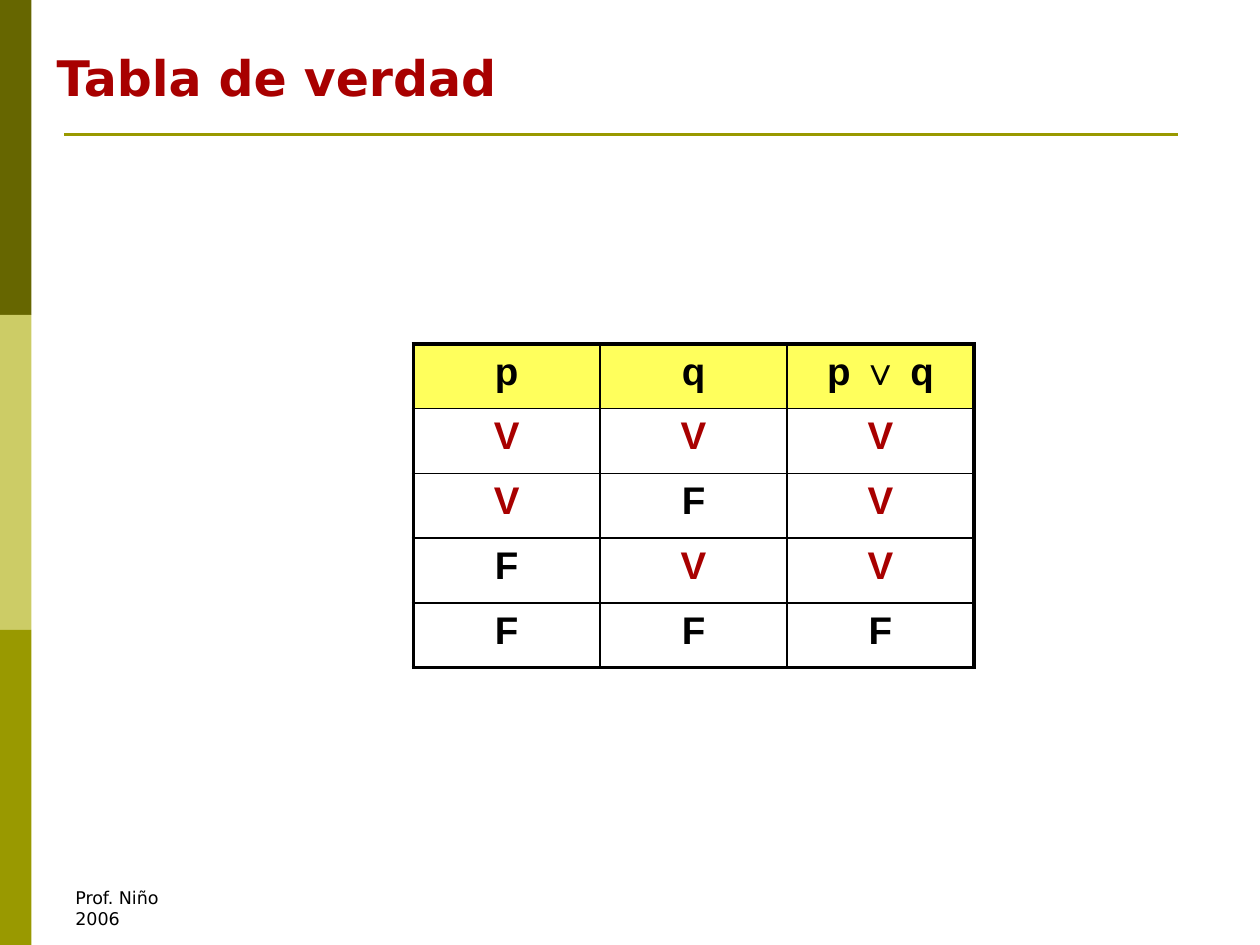
from dataclasses import dataclass

from lxml import etree
from pptx import Presentation
from pptx.dml.color import RGBColor
from pptx.enum.shapes import MSO_CONNECTOR, MSO_SHAPE
from pptx.enum.text import MSO_ANCHOR, MSO_AUTO_SIZE, PP_ALIGN
from pptx.oxml.ns import qn
from pptx.util import Pt

RECTANGLE = MSO_SHAPE.RECTANGLE
STRAIGHT = MSO_CONNECTOR.STRAIGHT
TOP, MIDDLE = MSO_ANCHOR.TOP, MSO_ANCHOR.MIDDLE
NO_AUTOFIT = MSO_AUTO_SIZE.NONE
LEFT, CENTER = PP_ALIGN.LEFT, PP_ALIGN.CENTER
TITLE_ONLY = 5


@dataclass(frozen=True)
class Theme:
    """Colours, fonts and type sizes of the slide."""
    bands: tuple = ("666600", "CCCC66", "999900")
    rule: str = "999900"
    accent: str = "A80000"
    ink: str = "000000"
    header: str = "FFFF5C"
    sans: str = "DejaVu Sans"
    table_font: str = "Arial"
    title_size: int = 28
    table_size: int = 22
    footer_size: int = 10
    outer_border: float = 2.25
    inner_border: float = 1


THEME = Theme()
TRUTH_ROWS = (("p", "q", "p ∨ q"), "VVV", "VFV", "FVV", "FFF")


def write_text(frame, text, *, size, font=THEME.sans, color=THEME.ink,
               bold=False, align=LEFT):
    """Write the lines of text as formatted paragraphs."""
    frame.word_wrap = True
    for index, line in enumerate(text.split("\n")):
        paragraph = frame.paragraphs[0] if index == 0 else frame.add_paragraph()
        paragraph.alignment = align
        run = paragraph.add_run()
        run.text = line
        run.font.size = Pt(size)
        run.font.name = font
        run.font.bold = bold
        run.font.color.rgb = RGBColor.from_string(color)


def place(shape, left, top, width, height):
    """Set the position and size of a shape in points."""
    shape.left, shape.top = Pt(left), Pt(top)
    shape.width, shape.height = Pt(width), Pt(height)


def add_side_bands(slide):
    """Stack equal colour bands down the left edge."""
    for index, color in enumerate(THEME.bands):
        band = slide.shapes.add_shape(
            RECTANGLE, Pt(0), Pt(180 * index), Pt(18), Pt(180))
        band.shadow.inherit = False
        band.fill.solid()
        band.fill.fore_color.rgb = RGBColor.from_string(color)
        band.line.fill.background()


def add_title_rule(slide):
    """Draw the line under the title."""
    rule = slide.shapes.add_connector(
        STRAIGHT, Pt(36.72), Pt(77.04), Pt(673.2), Pt(77.04))
    rule.line.color.rgb = RGBColor.from_string(THEME.rule)
    rule.line.width = Pt(1.5)
    etree.SubElement(rule._element.spPr, qn("a:effectLst"))


def set_title(slide, text):
    """Move and format the title placeholder."""
    title = slide.shapes.title
    place(title, 25.2, 25.92, 624.24, 36)
    frame = title.text_frame
    frame.auto_size = NO_AUTOFIT
    frame.vertical_anchor = MIDDLE
    write_text(frame, text, size=THEME.title_size, color=THEME.accent, bold=True)


def add_footer(slide, text):
    """Add the author and year at the bottom left."""
    footer = slide.shapes.add_textbox(Pt(36), Pt(491.76), Pt(167.76), Pt(36))
    frame = footer.text_frame
    frame.vertical_anchor = TOP
    frame.margin_top, frame.margin_bottom = Pt(15.3), Pt(0)
    write_text(frame, text, size=THEME.footer_size)


def set_borders(cell, widths):
    """Draw the four cell borders, given a width for each side."""
    properties = cell._tc.get_or_add_tcPr()
    for side, width in widths.items():
        border = etree.SubElement(properties, qn(f"a:ln{side}"), w=str(Pt(width)))
        fill = etree.SubElement(border, qn("a:solidFill"))
        etree.SubElement(fill, qn("a:srgbClr"), val=THEME.ink)


def add_truth_table(slide, rows):
    """Add the truth table with a heavy frame and a tinted header."""
    last_row, last_column = len(rows) - 1, len(rows[0]) - 1
    table = slide.shapes.add_table(
        len(rows), len(rows[0]), Pt(236.16), Pt(196.56), Pt(320.4), Pt(185)).table
    table.first_row = table.horz_banding = False
    for column in table.columns:
        column.width = Pt(106.8)
    for row in table.rows:
        row.height = Pt(37)
    for r, values in enumerate(rows):
        for c, value in enumerate(values):
            cell = table.cell(r, c)
            on_edge = {"L": c == 0, "R": c == last_column,
                       "T": r == 0, "B": r == last_row}
            set_borders(cell, {
                side: THEME.outer_border if edge else THEME.inner_border
                for side, edge in on_edge.items()})
            if r == 0:
                cell.fill.solid()
                cell.fill.fore_color.rgb = RGBColor.from_string(THEME.header)
            else:
                cell.fill.background()
            write_text(cell.text_frame, value, size=THEME.table_size,
                       font=THEME.table_font, bold=True, align=CENTER,
                       color=THEME.accent if value == "V" else THEME.ink)


def main():
    """Build the truth table slide and save it."""
    deck = Presentation()
    deck.slide_width, deck.slide_height = Pt(720), Pt(540)
    slide = deck.slides.add_slide(deck.slide_layouts[TITLE_ONLY])
    add_side_bands(slide)
    add_title_rule(slide)
    add_footer(slide, "Prof. Niño\n2006")
    set_title(slide, "Tabla de verdad")
    add_truth_table(slide, TRUTH_ROWS)
    deck.save("out.pptx")


main()
